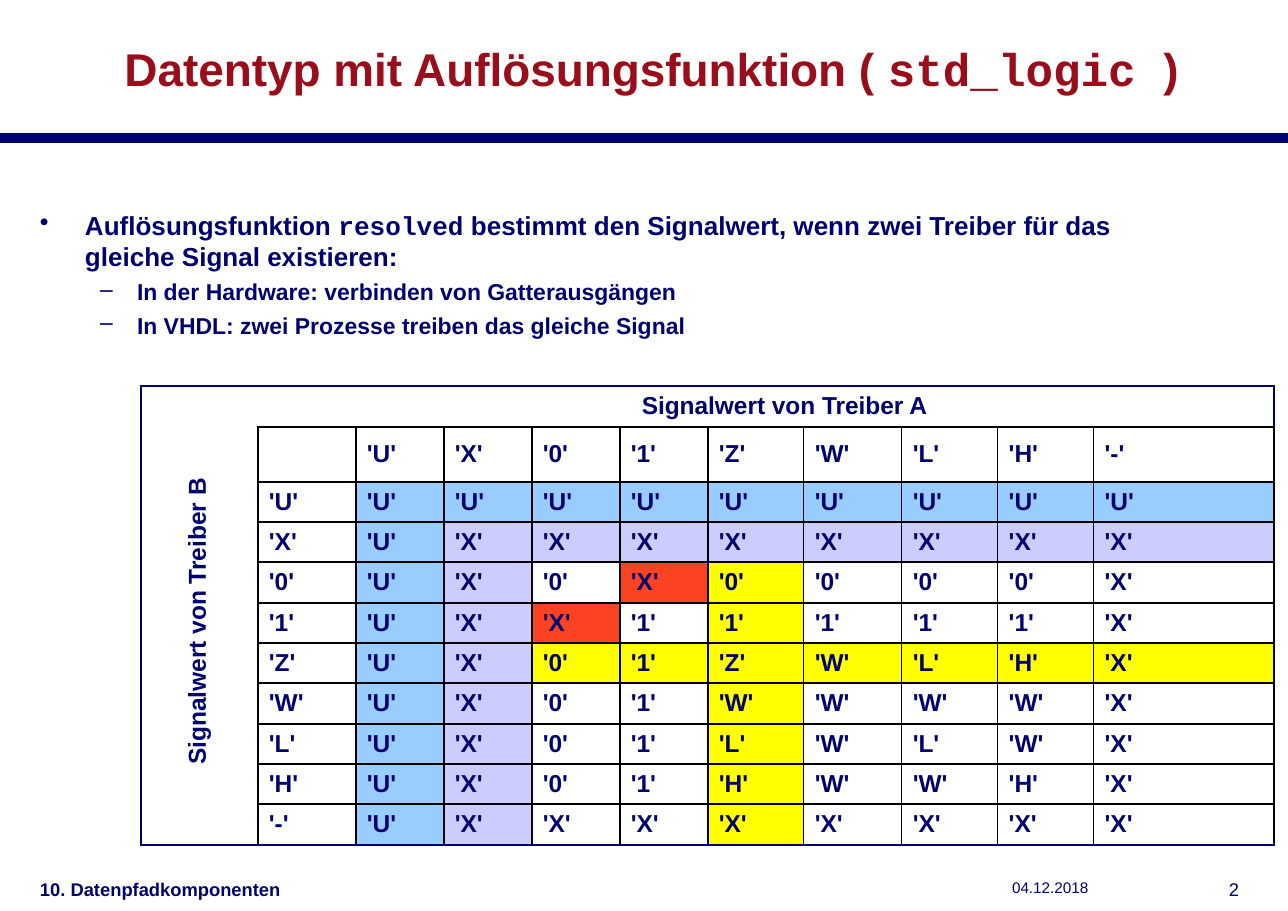
from dataclasses import dataclass

from lxml.etree import SubElement
from pptx import Presentation
from pptx.dml.color import RGBColor
from pptx.enum.shapes import MSO_CONNECTOR
from pptx.enum.text import MSO_ANCHOR, PP_ALIGN
from pptx.oxml.ns import qn
from pptx.util import Pt

LINE = MSO_CONNECTOR.STRAIGHT
MID, TOP = MSO_ANCHOR.MIDDLE, MSO_ANCHOR.TOP
LEFT, MID_X, RIGHT = PP_ALIGN.LEFT, PP_ALIGN.CENTER, PP_ALIGN.RIGHT
SCALE = 8298

STATES = "UX01ZWLH-"
RESULT = [
    "UUUUUUUUU",
    "UXXXXXXXX",
    "UX0X0000X",
    "UXX11111X",
    "UX01ZWLHX",
    "UX01WWWWX",
    "UX01LWLWX",
    "UX01HWWHX",
    "UXXXXXXXX",
]
COLS = [117, 98, 88, 88, 88, 88, 96, 98, 96, 96, 88]
ROWS = [41, 55] + [40, 40, 41] * 3
END = len(COLS)


@dataclass(frozen=True)
class Theme:
    """Colours, fonts and type sizes."""

    navy: str = "000070"
    red: str = "9A0E1B"
    black: str = "000000"
    blue: str = "99CCFF"
    lilac: str = "CCCCFF"
    clash: str = "FB4223"
    yellow: str = "FFFF00"
    sans: str = "Arial"
    mono: str = "Courier New"
    title: int = 30
    lead: int = 17
    sub: int = 15
    grid: int = 16
    foot: int = 12
    date: int = 10


def px(count):
    """Turn px into EMU."""
    return round(count * SCALE)


def tint(row, col, theme):
    """Pick the fill for a pair of driver states."""
    pair = {row, col}
    if 0 in pair:
        return theme.blue
    if 1 in pair:
        return theme.lilac
    if pair == {2, 3}:
        return theme.clash
    return theme.yellow if 4 in pair else None


def upright(row, rule, theme):
    """Give colour and weight of a vertical grid line."""
    if rule == 0:
        return theme.navy, 1
    if row == 0:
        return theme.navy, int(rule == END)
    return theme.black, 2 if rule == 2 else 1


def level(rule, col, theme):
    """Give colour and weight of a horizontal grid line."""
    if rule in (0, END):
        return theme.navy, 1
    if col == 0:
        return theme.black, 0
    return theme.black, 2 if rule == 2 else 1


class Deck:
    """Style and current slide."""

    def __init__(self, theme):
        """Start a deck with one blank slide."""
        self.theme = theme
        self.show = Presentation()
        self.show.slide_width, self.show.slide_height = px(1288), px(911)
        self.slide = self.show.slides.add_slide(self.show.slide_layouts[6])

    def fill(self, para, parts, size, color=None, bold=True, align=LEFT):
        """Fill a paragraph; every second part is monospaced."""
        para.alignment = align
        for spot, part in enumerate(parts):
            run = para.add_run()
            run.text = part
            font = run.font
            font.name = self.theme.mono if spot % 2 else self.theme.sans
            font.size, font.bold = Pt(size), bold
            font.color.rgb = RGBColor.from_string(color or self.theme.navy)

    def box(self, left, top, width, height, anchor=TOP):
        """Add an empty wrapping text box."""
        shape = self.slide.shapes.add_textbox(*map(px, (left, top, width, height)))
        frame = shape.text_frame
        frame.word_wrap = True
        frame.vertical_anchor = anchor
        frame.margin_left = frame.margin_right = px(12)
        return shape

    def label(self, area, parts, size, anchor=TOP, turn=0, **style):
        """Add a text box with one paragraph."""
        shape = self.box(*area, anchor)
        shape.rotation = turn
        self.fill(shape.text_frame.paragraphs[0], parts, size, **style)

    def bullets(self, area, items):
        """Add a bullet list of (mark, indent, hang, size, parts)."""
        frame = self.box(*area).text_frame
        for spot, (mark, indent, hang, size, parts) in enumerate(items):
            para = frame.add_paragraph() if spot else frame.paragraphs[0]
            self.fill(para, parts, size)
            para.space_before = Pt(4 if spot else 0)
            props = para._p.get_or_add_pPr()
            props.set("marL", str(px(indent)))
            props.set("indent", str(px(-hang)))
            SubElement(props, qn("a:buChar")).set("char", mark)

    def bar(self, top, weight):
        """Draw a line across the slide."""
        line = self.slide.shapes.add_connector(LINE, 0, px(top), px(1288), px(top))
        line.line.width = Pt(weight)
        line.line.color.rgb = RGBColor.from_string(self.theme.navy)
        SubElement(line._element.spPr, qn("a:effectLst"))

    def edge(self, cell, side, color, weight):
        """Set one border of a cell."""
        line = SubElement(cell._tc.get_or_add_tcPr(), qn("a:ln" + side))
        line.set("w", str(Pt(weight)))
        if weight:
            fill = SubElement(line, qn("a:solidFill"))
            SubElement(fill, qn("a:srgbClr")).set("val", color)
        else:
            SubElement(line, qn("a:noFill"))

    def cell(self, grid, row, col):
        """Style and fill one cell."""
        theme, cell = self.theme, grid.cell(row, col)
        cell.vertical_anchor = MID
        cell.margin_left = cell.margin_right = px(11)
        cell.margin_top = cell.margin_bottom = 0
        end, base = col + cell.span_width, row + cell.span_height
        self.edge(cell, "L", *upright(row, col, theme))
        self.edge(cell, "R", *upright(row, end, theme))
        self.edge(cell, "T", *level(row, col, theme))
        self.edge(cell, "B", *level(base, col, theme))
        shade, text = None, ""
        if row > 1 and col > 1:
            shade = tint(row - 2, col - 2, theme)
            text = RESULT[row - 2][col - 2]
        elif row > 0 and col > 0 and row + col > 2:
            text = STATES[row + col - 3]
        if shade:
            cell.fill.solid()
            cell.fill.fore_color.rgb = RGBColor.from_string(shade)
        else:
            cell.fill.background()
        if text:
            self.fill(cell.text_frame.paragraphs[0], [f"'{text}'"], theme.grid)

    def table(self, left, top):
        """Add the resolution table."""
        area = map(px, (left, top, sum(COLS), sum(ROWS)))
        grid = self.slide.shapes.add_table(len(ROWS), END, *area).table
        grid.first_row = grid.horz_banding = False
        for col, width in zip(grid.columns, COLS):
            col.width = px(width)
        for row, height in zip(grid.rows, ROWS):
            row.height = px(height)
        head = grid.cell(0, 0)
        head.merge(grid.cell(0, END - 1))
        grid.cell(1, 0).merge(grid.cell(len(ROWS) - 1, 0))
        for row in range(len(ROWS)):
            for col in range(END):
                self.cell(grid, row, col)
        head.margin_left = px(165)
        self.fill(head.text_frame.paragraphs[0], ["Signalwert von Treiber A"],
                  self.theme.grid, align=MID_X)


def main():
    """Build the slide."""
    theme = Theme()
    deck = Deck(theme)
    deck.bar(138, 7.09)
    deck.label((1000, 873, 182, 39), ["04.12.2018"], theme.date, bold=False)
    deck.label((1199, 873, 52, 39), ["2"], theme.foot, bold=False, align=RIGHT)
    deck.label((36, 31, 1231, 75),
               ["Datentyp mit Auflösungsfunktion ( ", "std_logic ", ")"],
               theme.title, MID, color=theme.red, align=MID_X)
    deck.bullets((28, 204, 1146, 148), [
        ("•", 45, 45, theme.lead,
         ["Auflösungsfunktion ", "resolved",
          " bestimmt den Signalwert, wenn zwei Treiber für das gleiche Signal existieren:"]),
        ("–", 97, 37, theme.sub, ["In der Hardware: verbinden von Gatterausgängen"]),
        ("–", 97, 37, theme.sub, ["In VHDL: zwei Prozesse treiben das gleiche Signal"]),
    ])
    deck.table(141, 386)
    deck.label((-12, 601, 417, 41), ["Signalwert von Treiber B"], theme.grid,
               turn=270, align=MID_X)
    deck.label((28, 873, 365, 39), ["10. Datenpfadkomponenten"], theme.foot)
    deck.show.save("out.pptx")


if __name__ == "__main__":
    main()
